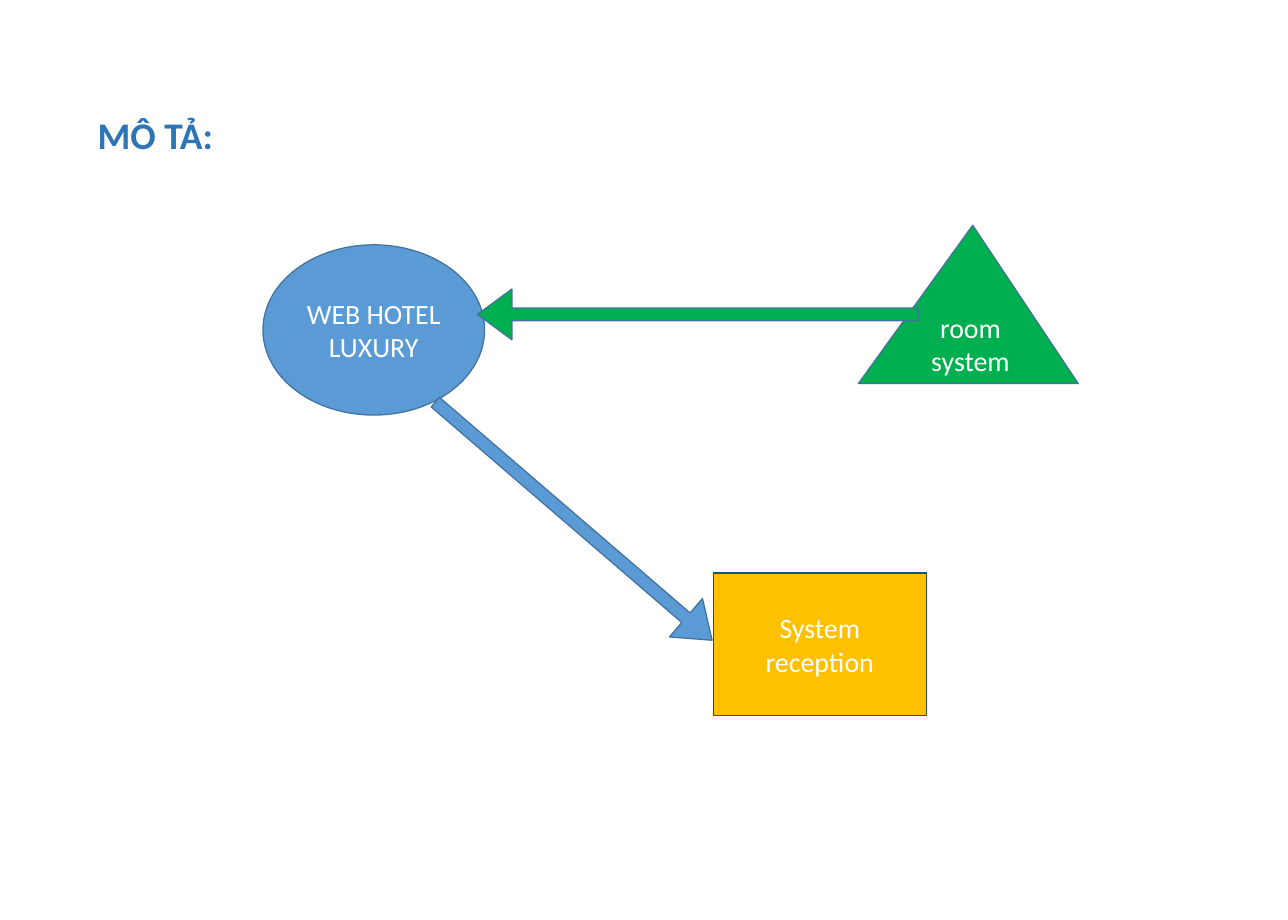
from pptx import Presentation
from pptx.dml.color import RGBColor
from pptx.enum.shapes import MSO_SHAPE as Preset
from pptx.enum.text import MSO_ANCHOR as Anchor, MSO_AUTO_SIZE as AutoSize, PP_ALIGN as Align
from pptx.util import Cm, Pt

COLORS = {
    "heading": "2E75B6",
    "web": "5B9BD5",
    "room": "00B050",
    "reception": "FFC000",
    "outline": "43739E",
    "dark_outline": "1F4E79",
    "label": "FFFFFF",
}


def color(name):
    """Look up a named colour."""
    return RGBColor.from_string(COLORS[name])


def write(frame, text, size=21.8, ink="label", bold=False, align=Align.CENTER, spacing=1.0):
    """Put one formatted paragraph into a text frame."""
    frame.word_wrap = True
    frame.auto_size = AutoSize.NONE
    frame.vertical_anchor = Anchor.MIDDLE
    paragraph = frame.paragraphs[0]
    paragraph.alignment = align
    paragraph.line_spacing = spacing
    run = paragraph.add_run()
    run.text = text
    run.font.name = "Calibri"
    run.font.size = Pt(size)
    run.font.bold = bold
    run.font.color.rgb = color(ink)


class SystemDiagram:
    """Draws the heading, systems and arrows in one style."""

    def __init__(self, slide):
        """Keep the slide and the shared outline width."""
        self.slide = slide
        self.outline_width = Pt(1)

    def heading(self, text, left, top, width, height):
        """Fill and place the title placeholder."""
        title = self.slide.shapes.title
        title.left, title.top, title.width, title.height = map(Cm, (left, top, width, height))
        write(title.text_frame, text, size=29.4, ink="heading", bold=True,
              align=Align.LEFT, spacing=0.9)

    def block(self, preset, box, fill, outline="outline", adjustments=()):
        """Add a filled and outlined preset shape."""
        block = self.slide.shapes.add_shape(preset, *map(Cm, box))
        block.shadow.inherit = False
        block.fill.solid()
        block.fill.fore_color.rgb = color(fill)
        block.line.color.rgb = color(outline)
        block.line.width = self.outline_width
        for index, value in enumerate(adjustments):
            block.adjustments[index] = value
        return block

    def system(self, text, preset, box, fill, **style):
        """Add a labelled system."""
        write(self.block(preset, box, fill, **style).text_frame, text)

    def arrow(self, left, top, length, rotation, fill):
        """Add a block arrow turned by the given degrees."""
        arrow = self.block(Preset.RIGHT_ARROW, (left, top, length, 1.4), fill,
                           adjustments=(0.25, 0.68))
        arrow.rotation = rotation


def main():
    """Build and save the slide."""
    deck = Presentation()
    deck.slide_width, deck.slide_height = Cm(35.56), Cm(25.4)
    diagram = SystemDiagram(deck.slides.add_slide(deck.slide_layouts.get_by_name("Title Only")))

    diagram.heading("MÔ TẢ:", 2.44, 1.35, 30.66, 4.9)
    diagram.system("WEB HOTEL LUXURY", Preset.FLOWCHART_CONNECTOR,
                   (7.26, 6.76, 6.12, 4.7), "web")
    diagram.system("System reception", Preset.RECTANGLE,
                   (19.69, 15.82, 5.89, 3.94), "reception", outline="dark_outline")
    diagram.system("room system", Preset.ISOSCELES_TRIANGLE,
                   (23.7, 6.22, 6.07, 4.37), "room", adjustments=(0.52,))
    diagram.arrow(10.8, 13.69, 10.08, 40.7, "web")
    diagram.arrow(13.18, 7.98, 12.17, 180, "room")

    deck.save("out.pptx")


if __name__ == "__main__":
    main()
